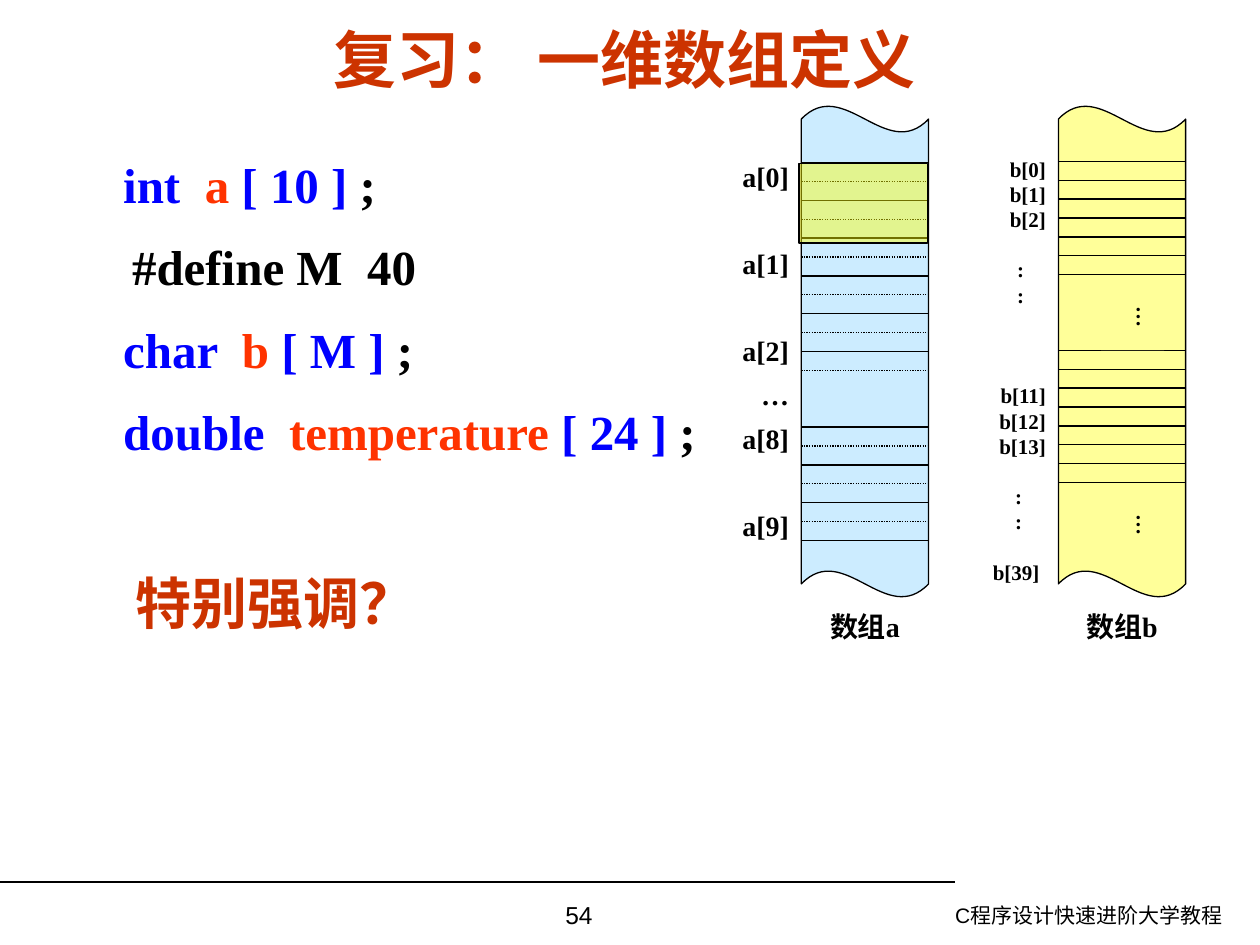
from dataclasses import dataclass

from lxml import etree
from pptx import Presentation
from pptx.dml.color import RGBColor
from pptx.enum.dml import MSO_LINE
from pptx.enum.shapes import MSO_CONNECTOR, MSO_SHAPE
from pptx.enum.text import MSO_ANCHOR, PP_ALIGN as Align
from pptx.oxml.ns import qn
from pptx.util import Inches, Pt

BLACK, BLUE, ORANGE, RED = "000000", "0000FF", "FF3300", "CC3300"
SKY, CREAM, YELLOW = "CCECFF", "FFFF99", "FFFF00"
SERIF, SANS = "Times New Roman", "Arial"
CELL = 0.15
COLUMN_WIDTH = 1.01


@dataclass
class Run:
    text: str
    color: str = BLACK


@dataclass
class Line:
    runs: list[Run]
    align: Align = Align.LEFT
    indent: float = 0
    before: float = 0


@dataclass
class Label:
    """An index label and the text row it stands on."""
    row: int
    text: str
    align: Align = Align.RIGHT
    indent: float = 0


@dataclass
class Memory:
    """A column of memory cells with its caption and index labels."""
    name: str
    left: float
    first_line: float
    fill: str
    solid: list[int]
    dotted: list[int]
    labels: list[Label]
    labels_top: float
    label_size: float
    label_pitch: float


def rgb(color: str) -> RGBColor:
    return RGBColor.from_string(color)


def write(frame, lines: list[Line], *, size: float, font: str = SERIF, bold: bool = True,
          spacing=None, insets=(0.1, 0.05), anchor=MSO_ANCHOR.TOP) -> None:
    frame.word_wrap = True
    frame.vertical_anchor = anchor
    frame.margin_left = frame.margin_right = Inches(insets[0])
    frame.margin_top = frame.margin_bottom = Inches(insets[1])
    for index, line in enumerate(lines):
        paragraph = frame.add_paragraph() if index else frame.paragraphs[0]
        paragraph.alignment = line.align
        if spacing:
            paragraph.line_spacing = spacing
        if line.before:
            paragraph.space_before = Pt(line.before)
        if line.indent:
            paragraph._p.get_or_add_pPr().set("marL", str(Inches(line.indent)))
        for part in line.runs:
            run = paragraph.add_run()
            run.text = part.text
            run.font.name, run.font.size, run.font.bold = font, Pt(size), bold
            run.font.color.rgb = rgb(part.color)


def add_text(slide, box: tuple, lines: list[Line], **style) -> None:
    write(slide.shapes.add_textbox(*map(Inches, box)).text_frame, lines, **style)


def add_words(slide, box: tuple, words: str, *, color: str = BLACK,
              align: Align = Align.CENTER, **style) -> None:
    add_text(slide, box, [Line([Run(words, color)], align)], **style)


def add_rule(slide, left: float, right: float, y: float, dotted: bool = False) -> None:
    rule = slide.shapes.add_connector(
        MSO_CONNECTOR.STRAIGHT, Inches(left), Inches(y), Inches(right), Inches(y))
    rule.line.color.rgb = rgb(BLACK)
    rule.line.width = Pt(0.75)
    if dotted:
        rule.line.dash_style = MSO_LINE.ROUND_DOT
    etree.SubElement(rule._element.spPr, qn("a:effectLst"))


def add_block(slide, kind, box: tuple, fill: str, outlined: bool = True):
    block = slide.shapes.add_shape(kind, *map(Inches, box))
    block.shadow.inherit = False
    block.fill.solid()
    block.fill.fore_color.rgb = rgb(fill)
    if outlined:
        block.line.color.rgb = rgb(BLACK)
        block.line.width = Pt(0.75)
    else:
        block.line.fill.background()
    return block


def add_ellipsis(slide, box: tuple) -> None:
    """Draw a vertical ellipsis that hides the cells left out."""
    block = add_block(slide, MSO_SHAPE.RECTANGLE, box, CREAM, outlined=False)
    write(block.text_frame, [Line([Run("…")], Align.JUSTIFY)], size=12, insets=(0.05, 0.1))
    block.text_frame._txBody.bodyPr.set("vert", "eaVert")


def add_memory(slide, memory: Memory) -> None:
    left, right = memory.left, memory.left + COLUMN_WIDTH
    wave = add_block(slide, MSO_SHAPE.WAVE, (left, 0.84, COLUMN_WIDTH, 3.9), memory.fill)
    wave.adjustments[0] = 0.027
    for cells, dotted in ((memory.solid, False), (memory.dotted, True)):
        for cell in cells:
            add_rule(slide, left, right, memory.first_line + cell * CELL, dotted)

    lines, next_row = [], 0
    for label in memory.labels:
        gap = (label.row - next_row) * memory.label_pitch
        lines.append(Line([Run(label.text)], label.align, label.indent, gap))
        next_row = label.row + 1
    add_text(slide, (left - 0.67, memory.labels_top, 0.67, 3.3), lines,
             size=memory.label_size, spacing=Pt(memory.label_pitch))
    add_words(slide, (left, 4.79, COLUMN_WIDTH, 0.45), f"数组{memory.name}", size=16)


def declaration(kind: str, name: str, length: str) -> Line:
    return Line([Run(kind, BLUE), Run(name, ORANGE), Run(f"[ {length} ]", BLUE), Run(" ;")])


ARRAY_B = Memory(
    "b", 8.4, 1.28, CREAM, solid=[*range(7), *range(10, 18)], dotted=[],
    labels=[
        *(Label(i, f"b[{i}]") for i in range(3)),
        *(Label(row, ":", Align.CENTER, 0.07) for row in (4, 5)),
        *(Label(i - 2, f"b[{i}]") for i in range(11, 14)),
        *(Label(row, ":", Align.CENTER, 0.04) for row in (13, 14)),
        Label(16, "b[39]", Align.CENTER),
    ],
    labels_top=1.19, label_size=12, label_pitch=14.4)

ARRAY_A = Memory(
    "a", 6.36, 1.29, SKY,
    solid=[*range(0, 11, 2), *range(14, 21, 2)],
    dotted=[*range(1, 12, 2), *range(15, 20, 2)],
    labels=[Label(0, "a[0]"), Label(2, "a[1]"), Label(4, "a[2]"),
            Label(5, "…"), Label(6, "a[8]"), Label(8, "a[9]")],
    labels_top=1.14, label_size=16, label_pitch=24.9)


def main() -> None:
    deck = Presentation()
    deck.slide_width, deck.slide_height = Inches(10), Inches(7.5)
    slide = deck.slides.add_slide(deck.slide_layouts[6])

    add_rule(slide, 0, 7.58, 7)
    add_words(slide, (6.57, 7.11, 3.23, 0.39), "C程序设计快速进阶大学教程",
              align=Align.RIGHT, size=12, font=SANS, bold=False)
    add_words(slide, (3.43, 7.09, 2.33, 0.41), "54", size=14, font=SANS, bold=False)

    add_text(slide, (0.88, 0.99, 5.54, 2.8), [
        declaration("int  ", "a ", "10"),
        Line([Run("#define M  40")], indent=0.07),
        declaration("char  ", "b ", "M"),
        declaration("double ", " temperature ", "24"),
    ], size=28, spacing=1.4)

    add_memory(slide, ARRAY_B)
    add_ellipsis(slide, (8.74, 2.33, 0.5, 0.45))
    add_ellipsis(slide, (8.57, 3.98, 0.67, 0.45))
    add_words(slide, (0.98, 4.46, 9.02, 1.45), "特别强调？",
              color=RED, align=Align.LEFT, size=32)

    add_memory(slide, ARRAY_A)
    first_element = add_block(slide, MSO_SHAPE.RECTANGLE, (6.34, 1.3, 1.02, 0.63), YELLOW)
    tint = first_element._element.spPr.find(qn("a:solidFill")).find(qn("a:srgbClr"))
    etree.SubElement(tint, qn("a:alpha")).set("val", "44000")

    add_words(slide, (0.43, 0.21, 9.05, 0.5), "复习： 一维数组定义",
              color=RED, size=36, font=SANS, anchor=MSO_ANCHOR.MIDDLE)
    deck.save("out.pptx")


if __name__ == "__main__":
    main()
